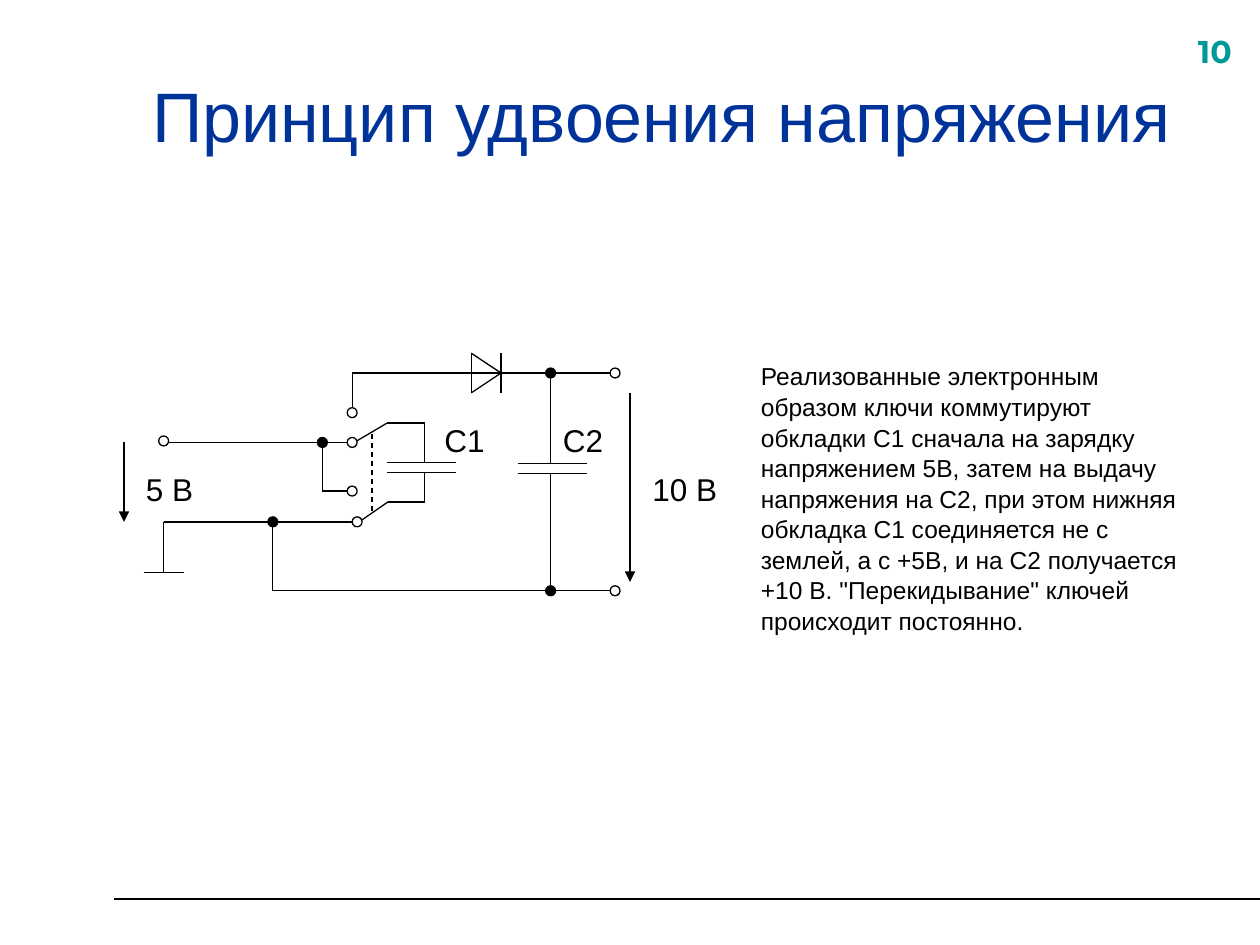
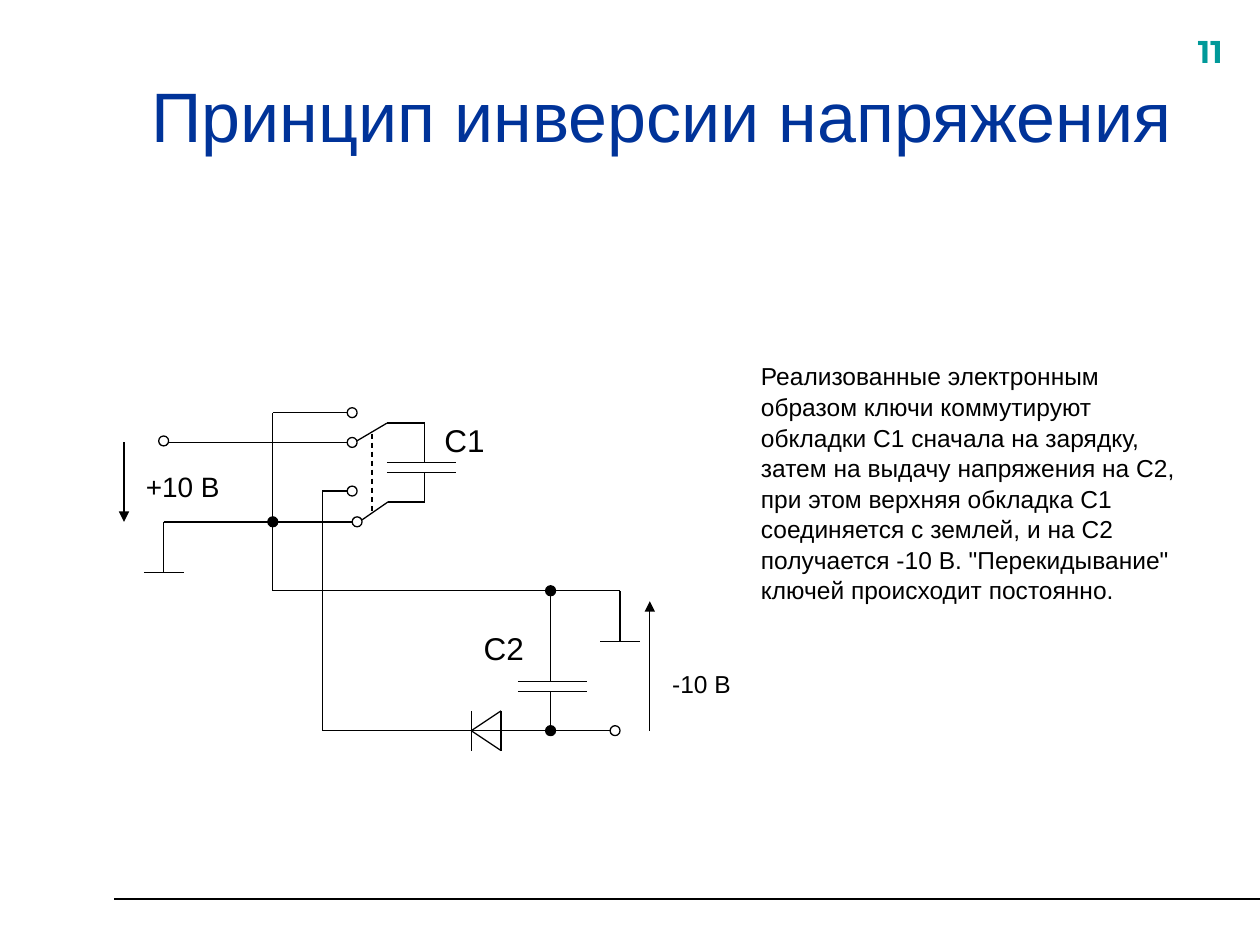
from dataclasses import dataclass
from itertools import pairwise

from lxml.etree import SubElement
from pptx import Presentation
from pptx.dml.color import RGBColor
from pptx.enum.dml import MSO_LINE
from pptx.enum.shapes import MSO_CONNECTOR, MSO_SHAPE
from pptx.enum.text import MSO_ANCHOR, PP_ALIGN
from pptx.oxml.ns import qn
from pptx.slide import Slide
from pptx.util import Cm, Pt

Point = tuple[float, float]


@dataclass(frozen=True)
class Theme:
    ink: RGBColor = RGBColor(0x00, 0x00, 0x00)
    paper: RGBColor = RGBColor(0xFF, 0xFF, 0xFF)
    title: RGBColor = RGBColor(0x00, 0x33, 0x99)
    number: RGBColor = RGBColor(0x00, 0x99, 0x99)
    font: str = "Arial"
    number_font: str = "Montserrat"
    title_size: int = 40
    label_size: int = 18
    input_size: int = 16
    body_size: int = 14
    wire_width: float = 0.75
    rule_width: float = 1.25
    line_spacing: float = 1.04


THEME = Theme()

# Shared levels and columns of both circuits, in centimetres
SUPPLY_Y, GROUND_Y, OUTPUT_Y = 8.92, 10.52, 11.91
UPPER_CONTACT_Y, LOWER_CONTACT_Y = 8.32, 9.9
INPUT_X, BRANCH_X, TAP_X, CONTACT_X = 3.3, 5.5, 6.5, 7.1
C2_X, OUTPUT_X = 11.1, 12.4
DOUBLER_TOP_Y, INVERTER_BOTTOM_Y = 7.52, 14.73
NODE_DIAMETER = 0.2


@dataclass(frozen=True)
class Label:
    text: str
    left: float
    top: float
    width: float
    height: float = 1.02
    size: int = THEME.label_size
    color: RGBColor = THEME.ink
    font: str = THEME.font
    bold: bool = False
    wrap: bool = True
    align: PP_ALIGN = PP_ALIGN.LEFT
    anchor: MSO_ANCHOR = MSO_ANCHOR.TOP
    spacing: float = THEME.line_spacing


@dataclass(frozen=True)
class Capacitor:
    left: float
    top: float


@dataclass(frozen=True)
class Diode:
    """The cathode bar stands on the side the triangle points to."""
    left: float
    y: float
    points_right: bool


@dataclass(frozen=True)
class Circuit:
    number: str
    title: str
    wires: tuple[tuple[Point, ...], ...]
    terminals: tuple[Point, ...]
    junctions: tuple[Point, ...]
    grounds: tuple[Point, ...]
    c2: Capacitor
    diode: Diode
    output_arrow: tuple[Point, Point]
    labels: tuple[Label, ...]
    explanation: str
    explanation_height: float


C1 = Capacitor(7.8, 9.32)
COMMON_WIRES = (
    ((INPUT_X, GROUND_Y), (CONTACT_X, GROUND_Y)),
    ((INPUT_X, SUPPLY_Y), (CONTACT_X, SUPPLY_Y)),
    ((7.24, GROUND_Y), (7.82, 10.12), (8.56, 10.12), (8.56, 9.52)),
    ((7.19, 8.89), (7.8, 8.53), (8.56, 8.53), (8.56, 9.32)),
)
COMMON_TERMINALS = (
    (INPUT_X, 8.89),
    (CONTACT_X, UPPER_CONTACT_Y),
    (CONTACT_X, SUPPLY_Y),
    (CONTACT_X, LOWER_CONTACT_Y),
    (7.2, GROUND_Y),
)
INPUT_GROUND = (INPUT_X, GROUND_Y)
BRANCH_JUNCTION = (BRANCH_X, GROUND_Y)
C1_LABEL = Label("С1", 8.71, 8.33, 1.32, wrap=False)

CIRCUITS = (
    Circuit(
        number="10",
        title="Принцип удвоения напряжения",
        wires=(
            ((BRANCH_X, GROUND_Y), (BRANCH_X, OUTPUT_Y), (OUTPUT_X, OUTPUT_Y)),
            ((TAP_X, SUPPLY_Y), (TAP_X, LOWER_CONTACT_Y), (CONTACT_X, LOWER_CONTACT_Y)),
            ((CONTACT_X, UPPER_CONTACT_Y), (CONTACT_X, DOUBLER_TOP_Y),
             (OUTPUT_X, DOUBLER_TOP_Y)),
            ((C2_X, DOUBLER_TOP_Y), (C2_X, 9.34)),
            ((C2_X, 9.54), (C2_X, OUTPUT_Y)),
        ),
        terminals=((OUTPUT_X, DOUBLER_TOP_Y), (OUTPUT_X, OUTPUT_Y)),
        junctions=(BRANCH_JUNCTION, (TAP_X, SUPPLY_Y),
                   (C2_X, DOUBLER_TOP_Y), (C2_X, OUTPUT_Y)),
        grounds=(INPUT_GROUND,),
        c2=Capacitor(10.44, 9.34),
        diode=Diode(9.5, DOUBLER_TOP_Y, points_right=True),
        output_arrow=((12.7, 7.92), (12.7, 11.73)),
        labels=(
            Label("5 В", 2.69, 9.32, 1.8),
            Label("10 В", 12.9, 9.32, 2.41),
            C1_LABEL,
            Label("С2", 11.1, 8.33, 1.32, wrap=False),
        ),
        explanation=(
            "Реализованные электронным образом ключи коммутируют обкладки C1 "
            "сначала на зарядку напряжением 5В, затем на выдачу напряжения на C2, "
            "при этом нижняя обкладка C1 соединяется не с землей, а с +5В, "
            "и на C2 получается +10 В. \"Перекидывание\" ключей происходит постоянно."
        ),
        explanation_height=5.59,
    ),
    Circuit(
        number="11",
        title="Принцип инверсии напряжения",
        wires=(
            ((CONTACT_X, UPPER_CONTACT_Y), (BRANCH_X, UPPER_CONTACT_Y),
             (BRANCH_X, OUTPUT_Y), (12.5, OUTPUT_Y)),
            ((CONTACT_X, LOWER_CONTACT_Y), (TAP_X, LOWER_CONTACT_Y),
             (TAP_X, INVERTER_BOTTOM_Y), (OUTPUT_X, INVERTER_BOTTOM_Y)),
            ((C2_X, OUTPUT_Y), (C2_X, 13.74)),
            ((C2_X, 13.94), (C2_X, INVERTER_BOTTOM_Y)),
        ),
        terminals=((OUTPUT_X, INVERTER_BOTTOM_Y),),
        junctions=(BRANCH_JUNCTION, (C2_X, OUTPUT_Y), (C2_X, INVERTER_BOTTOM_Y)),
        grounds=(INPUT_GROUND, (12.5, OUTPUT_Y)),
        c2=Capacitor(10.44, 13.74),
        diode=Diode(9.5, INVERTER_BOTTOM_Y, points_right=False),
        output_arrow=((13.1, INVERTER_BOTTOM_Y), (13.1, 12.12)),
        labels=(
            Label("+10 В", 2.69, 9.32, 2.21, 0.94, THEME.input_size),
            Label("-10 В", 13.3, 13.34, 2.41, 0.86, THEME.body_size),
            C1_LABEL,
            Label("С2", 9.5, 12.52, 1.32, wrap=False),
        ),
        explanation=(
            "Реализованные электронным образом ключи коммутируют обкладки C1 "
            "сначала на зарядку, затем на выдачу напряжения на C2, при этом "
            "верхняя обкладка C1 соединяется с землей, и на C2 получается -10 В. "
            "\"Перекидывание\" ключей происходит постоянно."
        ),
        explanation_height=5,
    ),
)


def draw_line(slide: Slide, start: Point, end: Point, width: float = THEME.wire_width,
              dashed: bool = False, arrow: bool = False) -> None:
    line = slide.shapes.add_connector(
        MSO_CONNECTOR.STRAIGHT, *(Cm(value) for value in (*start, *end)))
    line.line.color.rgb = THEME.ink
    line.line.width = Pt(width)
    if dashed:
        line.line.dash_style = MSO_LINE.DASH
    properties = line._element.spPr
    if arrow:
        SubElement(properties.find(qn("a:ln")), qn("a:tailEnd"), type="triangle")
    SubElement(properties, qn("a:effectLst"))


def draw_wire(slide: Slide, points: tuple[Point, ...]) -> None:
    for start, end in pairwise(points):
        draw_line(slide, start, end)


def draw_node(slide: Slide, center: Point, fill: RGBColor) -> None:
    left, top = (Cm(value - NODE_DIAMETER / 2) for value in center)
    node = slide.shapes.add_shape(
        MSO_SHAPE.OVAL, left, top, Cm(NODE_DIAMETER), Cm(NODE_DIAMETER))
    node.shadow.inherit = False
    node.fill.solid()
    node.fill.fore_color.rgb = fill
    node.line.color.rgb = THEME.ink
    node.line.width = Pt(THEME.wire_width)


def draw_capacitor(slide: Slide, capacitor: Capacitor) -> None:
    for y in (capacitor.top, capacitor.top + 0.2):
        draw_line(slide, (capacitor.left, y), (capacitor.left + 1.4, y))


def draw_ground(slide: Slide, top: Point) -> None:
    x, y = top
    foot = y + 1.02
    draw_line(slide, top, (x, foot))
    draw_line(slide, (x - 0.4, foot), (x + 0.4, foot))


def draw_diode(slide: Slide, diode: Diode) -> None:
    left, right = diode.left, diode.left + 0.6
    base, tip = (left, right) if diode.points_right else (right, left)
    upper, lower = diode.y - 0.4, diode.y + 0.4
    draw_wire(slide, ((tip, diode.y), (base, upper), (base, lower), (tip, diode.y)))
    draw_line(slide, (tip, upper), (tip, lower))


def draw_label(slide: Slide, label: Label) -> None:
    box = slide.shapes.add_textbox(
        Cm(label.left), Cm(label.top), Cm(label.width), Cm(label.height))
    frame = box.text_frame
    frame.word_wrap = label.wrap
    frame.vertical_anchor = label.anchor
    frame.text = label.text
    paragraph = frame.paragraphs[0]
    paragraph.alignment = label.align
    paragraph.line_spacing = label.spacing
    font = paragraph.runs[0].font
    font.name = label.font
    font.size = Pt(label.size)
    font.bold = label.bold
    font.color.rgb = label.color


def draw_page_frame(slide: Slide, number: str, title: str) -> None:
    draw_line(slide, (2.3, 18.13), (25.4, 18.13), width=THEME.rule_width)
    draw_label(slide, Label(number, 23.9, 0.53, 1.6, 1.12, color=THEME.number,
                            font=THEME.number_font, bold=True, spacing=1))
    draw_label(slide, Label(title, 1.9, 0.71, 22.86, 3.18, THEME.title_size, THEME.title,
                            align=PP_ALIGN.CENTER, anchor=MSO_ANCHOR.MIDDLE, spacing=1))


def draw_circuit(slide: Slide, circuit: Circuit) -> None:
    for wire in COMMON_WIRES + circuit.wires:
        draw_wire(slide, wire)
    draw_line(slide, (7.5, 8.74), (7.5, 10.32), dashed=True)
    for ground in circuit.grounds:
        draw_ground(slide, ground)
    for capacitor in (C1, circuit.c2):
        draw_capacitor(slide, capacitor)
    draw_diode(slide, circuit.diode)
    for terminal in COMMON_TERMINALS + circuit.terminals:
        draw_node(slide, terminal, THEME.paper)
    for junction in circuit.junctions:
        draw_node(slide, junction, THEME.ink)
    for start, end in (((2.5, SUPPLY_Y), (2.5, GROUND_Y)), circuit.output_arrow):
        draw_line(slide, start, end, arrow=True)
    for label in circuit.labels:
        draw_label(slide, label)
    draw_label(slide, Label(circuit.explanation, 15.09, 7.14, 9.19,
                            circuit.explanation_height, THEME.body_size))


def main() -> None:
    presentation = Presentation()
    presentation.slide_width, presentation.slide_height = Cm(25.4), Cm(19.05)
    blank = presentation.slide_layouts[6]
    for circuit in CIRCUITS:
        slide = presentation.slides.add_slide(blank)
        draw_page_frame(slide, circuit.number, circuit.title)
        draw_circuit(slide, circuit)
    presentation.save("out.pptx")


if __name__ == "__main__":
    main()
